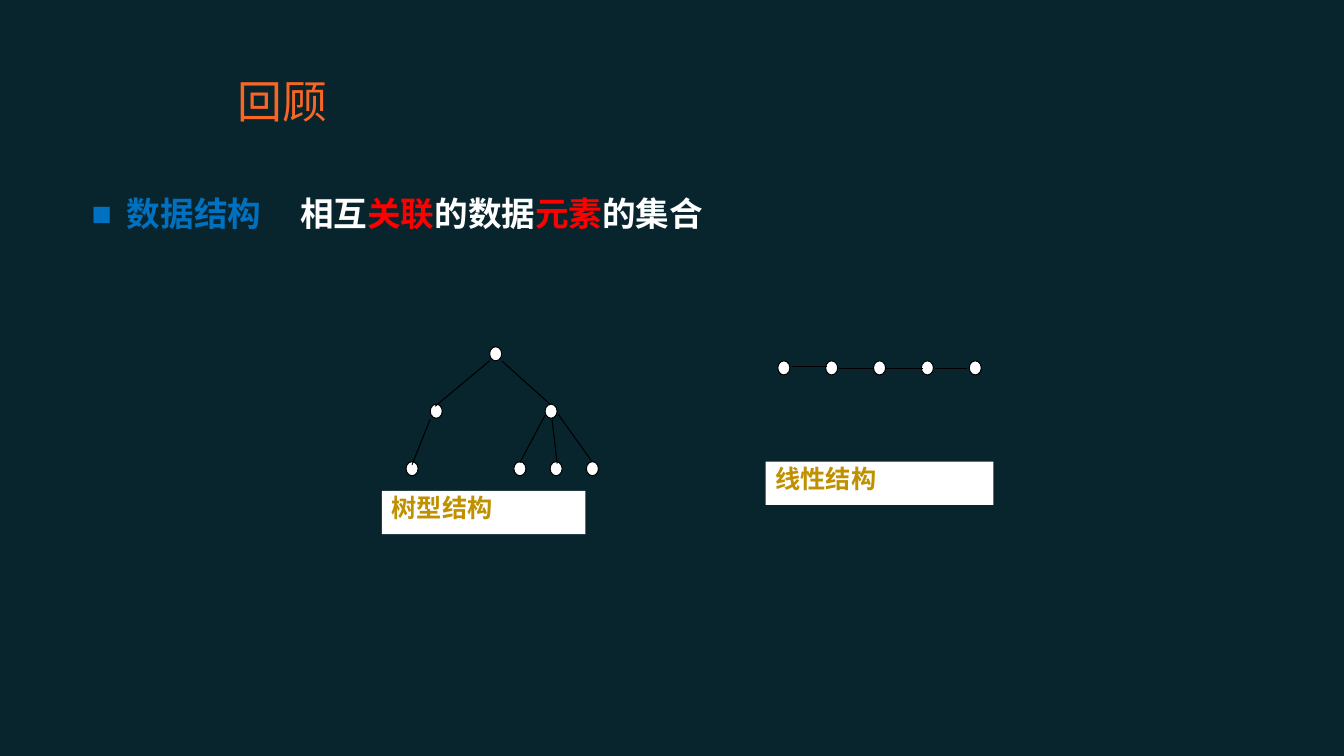
from typing import NamedTuple

from lxml.etree import SubElement
from pptx import Presentation
from pptx.dml.color import RGBColor
from pptx.enum.shapes import MSO_CONNECTOR, MSO_SHAPE
from pptx.enum.text import MSO_ANCHOR, MSO_AUTO_SIZE, PP_ALIGN
from pptx.oxml.ns import qn
from pptx.shapes.shapetree import GroupShapes
from pptx.slide import Slide
from pptx.util import Inches, Pt

BACKGROUND = RGBColor(0x08, 0x25, 0x2D)
ORANGE = RGBColor(0xF7, 0x66, 0x25)
BLUE = RGBColor(0x00, 0x70, 0xC0)
RED = RGBColor(0xFF, 0x00, 0x00)
GOLD = RGBColor(0xBF, 0x90, 0x00)
WHITE = RGBColor(0xFF, 0xFF, 0xFF)
BLACK = RGBColor(0x00, 0x00, 0x00)

NODE_WIDTH, NODE_HEIGHT = 0.12, 0.14
LINE_WIDTH = Pt(0.75)


class Node(NamedTuple):
    left: float
    top: float


class Edge(NamedTuple):
    x1: float
    y1: float
    x2: float
    y2: float


class Label(NamedTuple):
    text: str
    left: float
    top: float
    width: float
    height: float = 0.43


class Diagram(NamedTuple):
    nodes: list[Node]
    edges: list[Edge]
    label: Label


LINEAR = Diagram(
    nodes=[Node(7.72 + 0.475 * i, 3.58) for i in range(5)],
    edges=[
        Edge(7.86, 3.64, 8.21, 3.64),
        Edge(8.33, 3.66, 8.67, 3.66),
        Edge(8.79, 3.66, 9.16, 3.66),
        Edge(9.28, 3.66, 9.6, 3.66),
    ],
    label=Label("线性结构", 7.6, 4.58, 2.26),
)
TREE_LEVELS = {3.44: [4.86], 4.01: [4.27, 5.41], 4.58: [4.03, 5.1, 5.46, 5.82]}
TREE = Diagram(
    nodes=[Node(left, top) for top, lefts in TREE_LEVELS.items() for left in lefts],
    edges=[
        Edge(4.86, 3.58, 4.32, 4.03),
        Edge(4.27, 4.16, 4.09, 4.61),
        Edge(4.98, 3.58, 5.46, 4.01),
        Edge(5.41, 4.12, 5.16, 4.59),
        Edge(5.54, 4.11, 5.87, 4.57),
        Edge(5.48, 4.16, 5.53, 4.6),
    ],
    label=Label("树型结构", 3.79, 4.87, 2.02),
)

DEFINITION = [
    ("数据结构\t", BLUE),
    ("相互", WHITE),
    ("关联", RED),
    ("的数据", WHITE),
    ("元素", RED),
    ("的集合", WHITE),
]


def place(shape, left: float, top: float, width: float, height: float) -> None:
    shape.left, shape.top = Inches(left), Inches(top)
    shape.width, shape.height = Inches(width), Inches(height)
    shape.text_frame.auto_size = MSO_AUTO_SIZE.NONE


def add_title(slide: Slide) -> None:
    title = slide.shapes.title
    place(title, 2.26, 0.6, 7.95, 0.79)
    title.text_frame.vertical_anchor = MSO_ANCHOR.MIDDLE
    title.text_frame.text = "回顾"
    paragraph = title.text_frame.paragraphs[0]
    paragraph.alignment = PP_ALIGN.LEFT
    paragraph.font.name = "Roboto"
    paragraph.font.size = Pt(32)
    paragraph.font.color.rgb = ORANGE


def add_square_bullet(paragraph) -> None:
    """Set the hanging indent, the blue square and the tab before the definition."""
    properties = paragraph._p.get_or_add_pPr()
    properties.set("marL", str(Inches(0.48)))
    properties.set("indent", str(Inches(-0.35)))
    colour = SubElement(properties, qn("a:buClr"))
    SubElement(colour, qn("a:srgbClr"), val=str(BLUE))
    SubElement(properties, qn("a:buFont"), typeface="Arial")
    SubElement(properties, qn("a:buChar"), char="■")
    tabs = SubElement(properties, qn("a:tabLst"))
    # Same column, measured from the indent and from the box edge
    for position in (1.72, 2.2):
        SubElement(tabs, qn("a:tab"), pos=str(Inches(position)), algn="l")


def add_definition(slide: Slide) -> None:
    body = slide.placeholders[1]
    place(body, 0.68, 1.91, 12, 0.76)
    paragraph = body.text_frame.paragraphs[0]
    add_square_bullet(paragraph)
    paragraph.space_before = Pt(0)
    paragraph.line_spacing = 0.9
    paragraph.font.name = "Noto Sans CJK SC"
    paragraph.font.size = Pt(24)
    paragraph.font.bold = True
    for text, colour in DEFINITION:
        run = paragraph.add_run()
        run.text = text
        run.font.color.rgb = colour


def add_white_shape(shapes: GroupShapes, kind: MSO_SHAPE, left: float, top: float,
                    width: float, height: float):
    shape = shapes.add_shape(kind, Inches(left), Inches(top), Inches(width), Inches(height))
    shape.shadow.inherit = False
    shape.fill.solid()
    shape.fill.fore_color.rgb = WHITE
    return shape


def add_node(shapes: GroupShapes, node: Node) -> None:
    circle = add_white_shape(shapes, MSO_SHAPE.OVAL, *node, NODE_WIDTH, NODE_HEIGHT)
    circle.line.color.rgb = BLACK
    circle.line.width = LINE_WIDTH


def add_edge(shapes: GroupShapes, edge: Edge) -> None:
    connector = shapes.add_connector(MSO_CONNECTOR.STRAIGHT, *map(Inches, edge))
    connector.line.color.rgb = BLACK
    connector.line.width = LINE_WIDTH
    SubElement(connector._element.spPr, qn("a:effectLst"))


def add_label(shapes: GroupShapes, label: Label) -> None:
    box = add_white_shape(shapes, MSO_SHAPE.RECTANGLE, *label[1:])
    box.line.fill.background()
    box.text_frame.vertical_anchor = MSO_ANCHOR.TOP
    box.text_frame.text = label.text
    paragraph = box.text_frame.paragraphs[0]
    paragraph.alignment = PP_ALIGN.JUSTIFY
    paragraph.line_spacing = 0.9
    paragraph.font.name = "Times New Roman"
    paragraph.font.size = Pt(18)
    paragraph.font.bold = True
    paragraph.font.color.rgb = GOLD


def add_diagram(slide: Slide, diagram: Diagram) -> None:
    shapes = slide.shapes.add_group_shape().shapes
    for node in diagram.nodes:
        add_node(shapes, node)
    for edge in diagram.edges:
        add_edge(shapes, edge)
    add_label(shapes, diagram.label)


def main() -> None:
    presentation = Presentation()
    presentation.slide_width = Inches(13.34)
    presentation.slide_height = Inches(7.5)
    slide = presentation.slides.add_slide(presentation.slide_layouts[1])
    slide.background.fill.solid()
    slide.background.fill.fore_color.rgb = BACKGROUND
    add_title(slide)
    add_definition(slide)
    for diagram in (LINEAR, TREE):
        add_diagram(slide, diagram)
    presentation.save("out.pptx")


if __name__ == "__main__":
    main()
